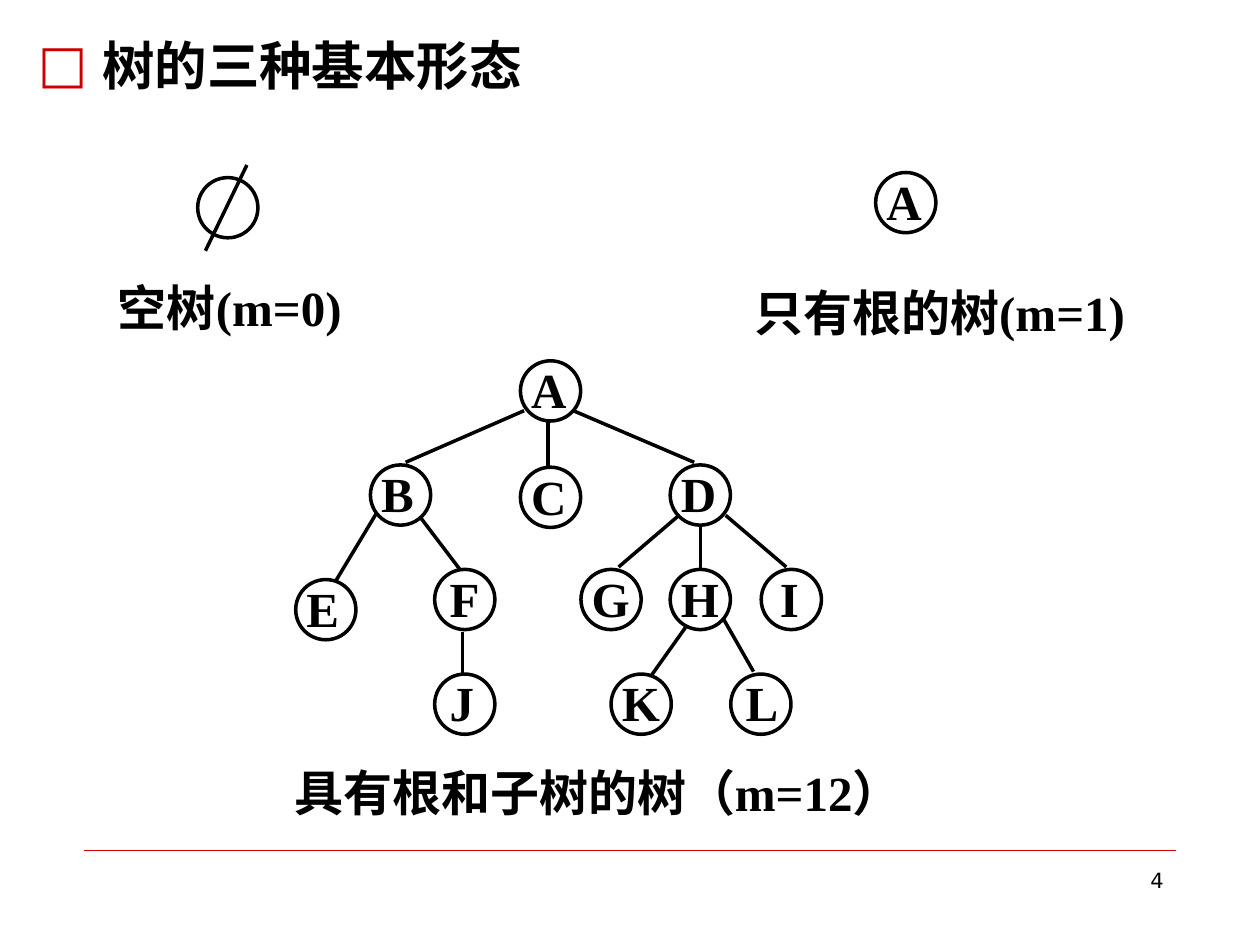
from lxml import etree
from pptx import Presentation
from pptx.dml.color import RGBColor
from pptx.enum.shapes import MSO_CONNECTOR, MSO_SHAPE
from pptx.enum.text import MSO_ANCHOR, MSO_AUTO_SIZE, PP_ALIGN
from pptx.oxml.ns import qn
from pptx.util import Pt

LINE = MSO_CONNECTOR.STRAIGHT
OVAL = MSO_SHAPE.OVAL
TOP = MSO_ANCHOR.TOP
FIXED = MSO_AUTO_SIZE.NONE
RIGHT = PP_ALIGN.RIGHT
FULL = PP_ALIGN.JUSTIFY
BLACK = RGBColor(0, 0, 0)
WHITE = RGBColor(255, 255, 255)
RED = RGBColor(0xCC, 0, 0)
SERIF = "Times New Roman"
SANS = "DejaVu Sans"
SIZE = 34.4

deck = Presentation()
deck.slide_width, deck.slide_height = Pt(720), Pt(540)
slide = deck.slides.add_slide(deck.slide_layouts[1])
shapes = slide.shapes
title = shapes.title.element
title.getparent().remove(title)


def add_line(x1, y1, x2, y2, color=BLACK, width=2):
    line = shapes.add_connector(LINE, Pt(x1), Pt(y1), Pt(x2), Pt(y2))
    line.line.color.rgb = color
    line.line.width = Pt(width)
    etree.SubElement(line.element.spPr, qn("a:effectLst"))


def add_text(text, x, y, w, h, size=28, face=SERIF, bold=True, align=FULL):
    box = shapes.add_textbox(Pt(x), Pt(y), Pt(w), Pt(h))
    frame = box.text_frame
    frame.word_wrap = True
    para = frame.paragraphs[0]
    para.alignment = align
    run = para.add_run()
    run.text = text
    run.font.size = Pt(size)
    run.font.name = face
    run.font.bold = bold
    run.font.color.rgb = BLACK


body = slide.placeholders[1]
body.left, body.top, body.width, body.height = Pt(14.4), Pt(15.1), Pt(691.9), Pt(470.9)
body.fill.solid()
body.fill.fore_color.rgb = WHITE
frame = body.text_frame
frame.auto_size = FIXED
frame.vertical_anchor = TOP
para = frame.paragraphs[0]
para.space_before = Pt(0)
props = para._p.get_or_add_pPr()
props.set("marL", str(Pt(36.7)))
props.set("indent", str(-Pt(36.7)))
tint = etree.SubElement(props, qn("a:buClr"))
etree.SubElement(tint, qn("a:srgbClr"), val=str(RED))
etree.SubElement(props, qn("a:buFont"), typeface=SANS)
etree.SubElement(props, qn("a:buChar"), char="□")
run = para.add_run()
run.text = "树的三种基本形态"
run.font.size = Pt(30)
run.font.name = SERIF
run.font.bold = True
run.font.color.rgb = BLACK

add_line(48, 486, 672, 486, RED, 0.25)
add_text("4", 516, 492, 156, 37.4, 12, SANS, False, RIGHT)

nodes = [
    ("", 113, 101.5, 0),
    ("A", 500.4, 98.6, -1),
    ("A", 297.4, 206.2, -1),
    ("B", 211.7, 265.7, -1),
    ("C", 297.4, 267, -1),
    ("D", 383, 265.7, -1),
    ("E", 169, 331.2, -1),
    ("F", 248.4, 325.4, 1.4),
    ("G", 332, 325.4, -1),
    ("H", 383, 325.4, -1),
    ("I", 435, 325.4, 3.6),
    ("J", 248.4, 385.2, 1.4),
    ("K", 349.2, 385.2, -1),
    ("L", 417.6, 385.2, 1.4),
]
for name, x, y, shift in nodes:
    node = shapes.add_shape(OVAL, Pt(x), Pt(y), Pt(SIZE), Pt(SIZE))
    node.shadow.inherit = False
    node.fill.background()
    node.line.color.rgb = BLACK
    node.line.width = Pt(2)
    if name:
        add_text(name, x + shift, y - 4.2, 51.8, 44.6)

edges = [
    (141.1, 94.3, 117.4, 143.3),
    (299.5, 234.7, 231.8, 264.2),
    (313.2, 240.5, 313.2, 266.4),
    (327.6, 234.7, 396.7, 264.2),
    (215.3, 293, 191.5, 332.6),
    (240.5, 296, 262.8, 325.4),
    (388, 294.5, 353.5, 324),
    (400.3, 300.2, 400.3, 324.7),
    (414.7, 294.5, 449.3, 324),
    (264.2, 361.4, 264.2, 386),
    (391.7, 358.6, 372.2, 386),
    (413.3, 353.5, 430.6, 383.8),
]
for edge in edges:
    add_line(*edge)

add_text(" 空树(m=0)", 54, 154.8, 152.64, 49)
add_text("只有根的树(m=1)", 424.1, 157.7, 231.12, 46.8)
add_text("具有根和子树的树（m=12）", 161.3, 432, 384.5, 49.7)

deck.save("out.pptx")
